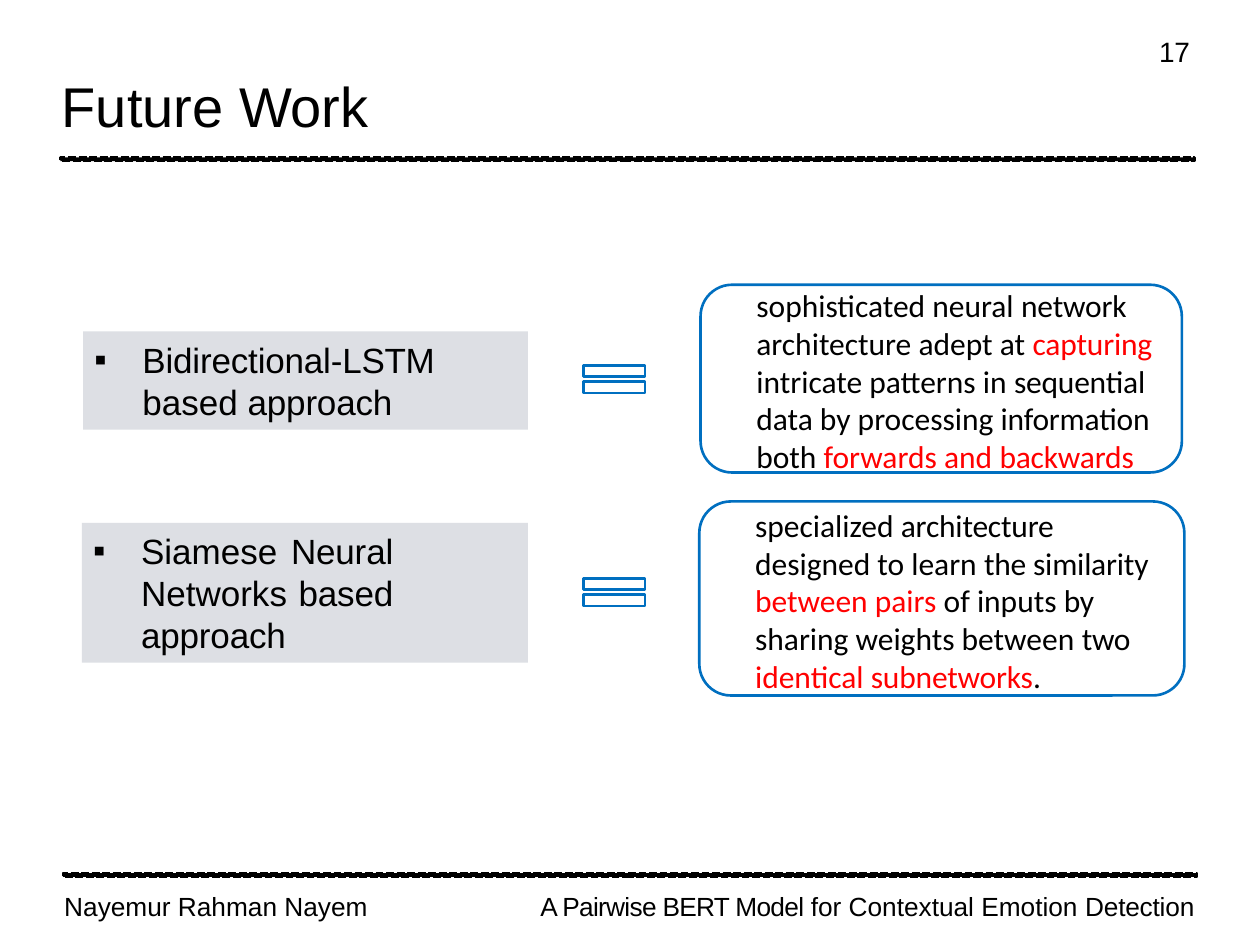
"""Build the Future Work slide: two approaches, each equated with its description."""
import pptx
import pptx.dml.color
import pptx.enum.dml
import pptx.enum.shapes
import pptx.enum.text
import pptx.util
from lxml import etree

Inches, Pt = pptx.util.Inches, pptx.util.Pt
Shape = pptx.enum.shapes.MSO_SHAPE
Align = pptx.enum.text.PP_ALIGN
Anchor = pptx.enum.text.MSO_ANCHOR
A = "{http://schemas.openxmlformats.org/drawingml/2006/main}"
BLACK, RED, BLUE, GREY = "000000", "FF0000", "006FC0", "DDDFE4"


def rgb(value):
    return pptx.dml.color.RGBColor.from_string(value)


def write(shape, runs, size, font="Arial", anchor=Anchor.TOP, insets=(0, 0, 0, 0), align=Align.LEFT):
    frame = shape.text_frame
    frame.word_wrap = True
    frame.auto_size = pptx.enum.text.MSO_AUTO_SIZE.NONE
    frame.vertical_anchor = anchor
    frame.margin_left, frame.margin_top, frame.margin_right, frame.margin_bottom = map(Inches, insets)
    paragraph = frame.paragraphs[0]
    paragraph.alignment = align
    for text, colour, spacing in runs:
        run = paragraph.add_run()
        run.text = text
        run.font.name, run.font.size = font, Pt(size)
        run.font.color.rgb = rgb(colour)
        run.font._element.set("spc", str(spacing))
    return paragraph


deck = pptx.Presentation()
deck.slide_width, deck.slide_height = Inches(10), Inches(7.5)
slide = deck.slides.add_slide(deck.slide_layouts[5])
shapes = slide.shapes

heading = shapes.title
heading.left, heading.top, heading.width, heading.height = map(Inches, (0.49, 0.49, 8.94, 0.63))
write(heading, [("Future ", BLACK, 0), ("Work", BLACK, -20)], 32, insets=(0, 0.08, 0, 0))

page_number = shapes.add_textbox(*map(Inches, (9.2, 0.28, 0.3, 0.28)))
write(page_number, [("17", BLACK, -20)], 16).line_spacing = Pt(18.6)

for left, top in ((0.48, 1.25), (0.5, 6.93)):
    rule = shapes.add_shape(Shape.RECTANGLE, *map(Inches, (left, top, 9, 0.03)))
    rule.shadow.inherit = False
    rule.fill.solid()
    rule.fill.fore_color.rgb = rgb(BLACK)
    rule.line.color.rgb = rgb(BLACK)
    rule.line.width = Pt(1.5)
    rule.line.dash_style = pptx.enum.dml.MSO_LINE.SQUARE_DOT

rows = [
    {
        "approach": [("Bidirectional-", BLACK, -10), ("LSTM ", BLACK, -20),
                     ("based ", BLACK, 0), ("approach", BLACK, -10)],
        "approach_box": (0.66, 2.63, 3.53, 0.78), "text_right": 0.7, "align": Align.LEFT,
        "equals_top": 2.9,
        "meaning": [("sophisticated neural ", BLACK, 0), ("network ", BLACK, -10),
                    ("architecture adept at ", BLACK, 0), ("capturing ", RED, -10),
                    ("intricate patterns in ", BLACK, 0), ("sequential ", BLACK, -10),
                    ("data by processing", BLACK, 0), (" information ", BLACK, -10),
                    ("both ", BLACK, 0), ("forwards and ", RED, 0), ("backwards", RED, -10)],
        "meaning_box": (5.56, 2.26, 3.82, 1.49),
    },
    {
        "approach": [("Siamese ", BLACK, 0), ("Neural ", BLACK, -10),
                     ("Networks ", BLACK, 0), ("based approach", BLACK, -10)],
        "approach_box": (0.65, 4.15, 3.54, 1.11), "text_right": 1.07, "align": Align.JUSTIFY,
        "equals_top": 4.59,
        "meaning": [("specialized ", BLACK, 0), ("architecture ", BLACK, -10),
                    ("designed to learn ", BLACK, 0), ("the ", BLACK, -20),
                    ("similarity ", BLACK, -10), ("between pairs ", RED, 0),
                    ("of inputs ", BLACK, 0), ("by ", BLACK, -20),
                    ("sharing weights between ", BLACK, 0), ("two ", BLACK, -20),
                    ("identical ", RED, 0), ("subnetworks", RED, -10), (".", BLACK, -10)],
        "meaning_box": (5.55, 3.98, 3.85, 1.54),
    },
]

for row in rows:
    approach = shapes.add_shape(Shape.RECTANGLE, *map(Inches, row["approach_box"]))
    approach.shadow.inherit = False
    approach.fill.solid()
    approach.fill.fore_color.rgb = rgb(GREY)
    approach.line.fill.background()
    item = write(approach, row["approach"], 20, anchor=Anchor.MIDDLE,
                 insets=(0, 0, row["text_right"], 0), align=row["align"])
    properties = item._p.get_or_add_pPr()
    properties.set("marL", str(Inches(0.47)))
    properties.set("indent", str(Inches(-0.38)))
    etree.SubElement(properties, A + "buFont", typeface="Arial")
    etree.SubElement(properties, A + "buChar", char="▪")

    meaning = shapes.add_shape(Shape.ROUNDED_RECTANGLE, *map(Inches, row["meaning_box"]))
    meaning.adjustments[0] = 0.25 / row["meaning_box"][3]
    write(meaning, row["meaning"], 18, "Calibri", Anchor.MIDDLE, (0.37, 0.03, 0.12, 0))
    bars = [shapes.add_shape(Shape.RECTANGLE, *map(Inches, (4.63, row["equals_top"] + offset, 0.49, 0.09)))
            for offset in (0, 0.13)]
    for outline in (meaning, *bars):
        outline.shadow.inherit = False
        outline.fill.background()
        outline.line.color.rgb = rgb(BLUE)
        outline.line.width = Pt(1.5)

footer = shapes.add_textbox(*map(Inches, (0.51, 7.04, 8.99, 0.26)))
credit = write(footer, [("Nayemur Rahman Nayem", BLACK, 0), ("\tA Pairwise BERT Model ", BLACK, -40),
                        ("for Contextual Emotion ", BLACK, 0), ("Detection", BLACK, -10)], 15)
credit.line_spacing = Pt(19.9)
tabs = etree.SubElement(credit._p.get_or_add_pPr(), A + "tabLst")
etree.SubElement(tabs, A + "tab", pos=str(Inches(8.97)), algn="r")

deck.save("out.pptx")
